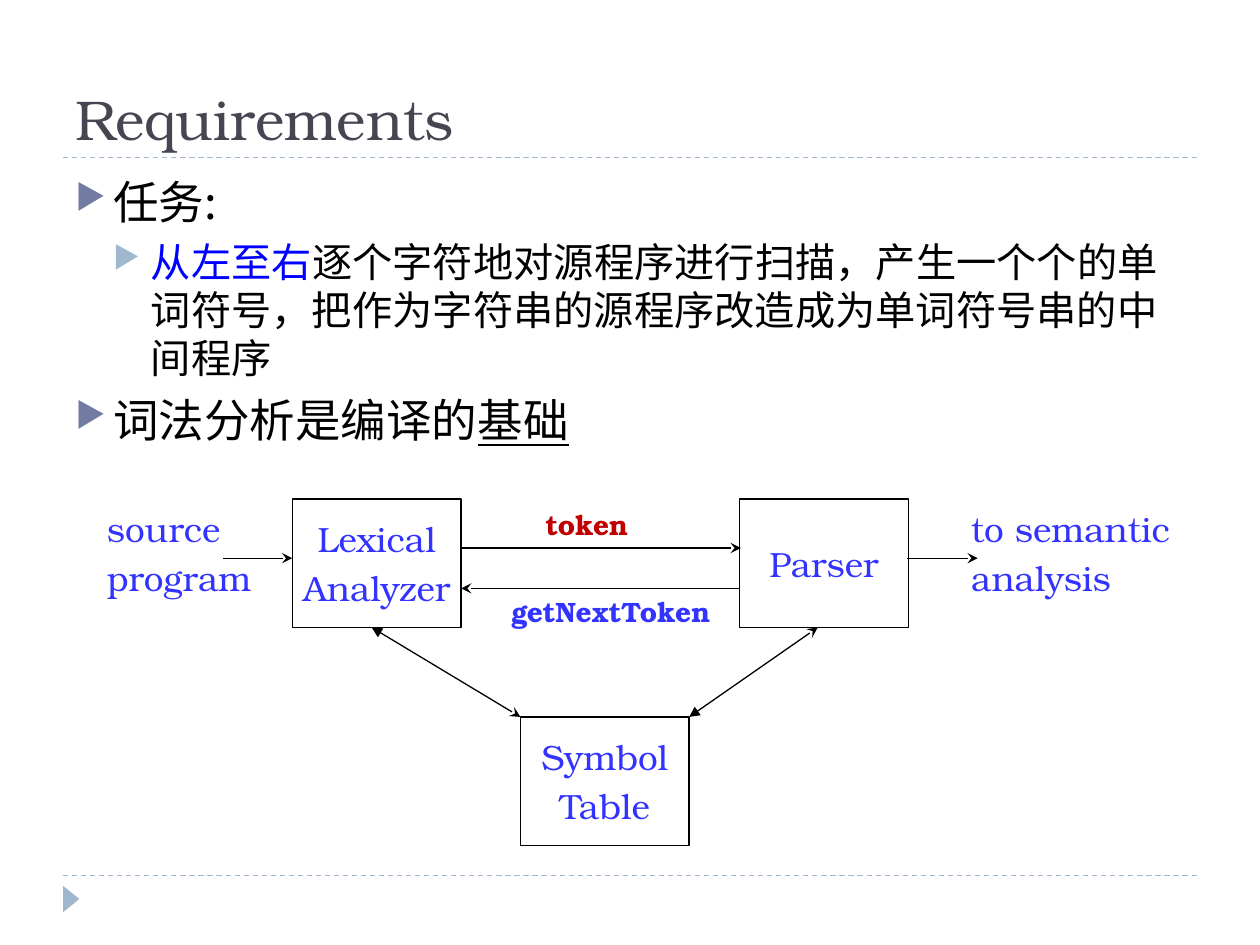
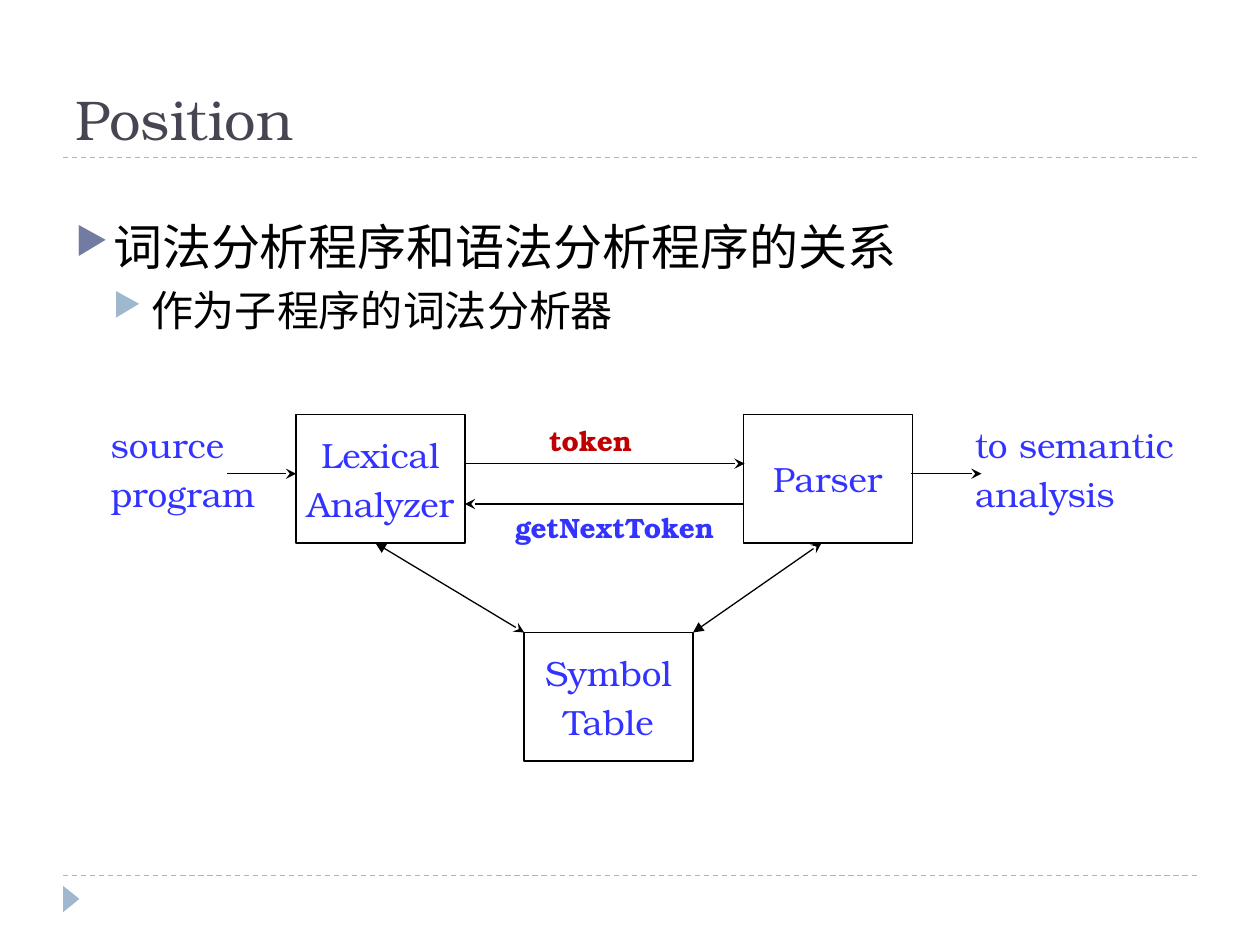
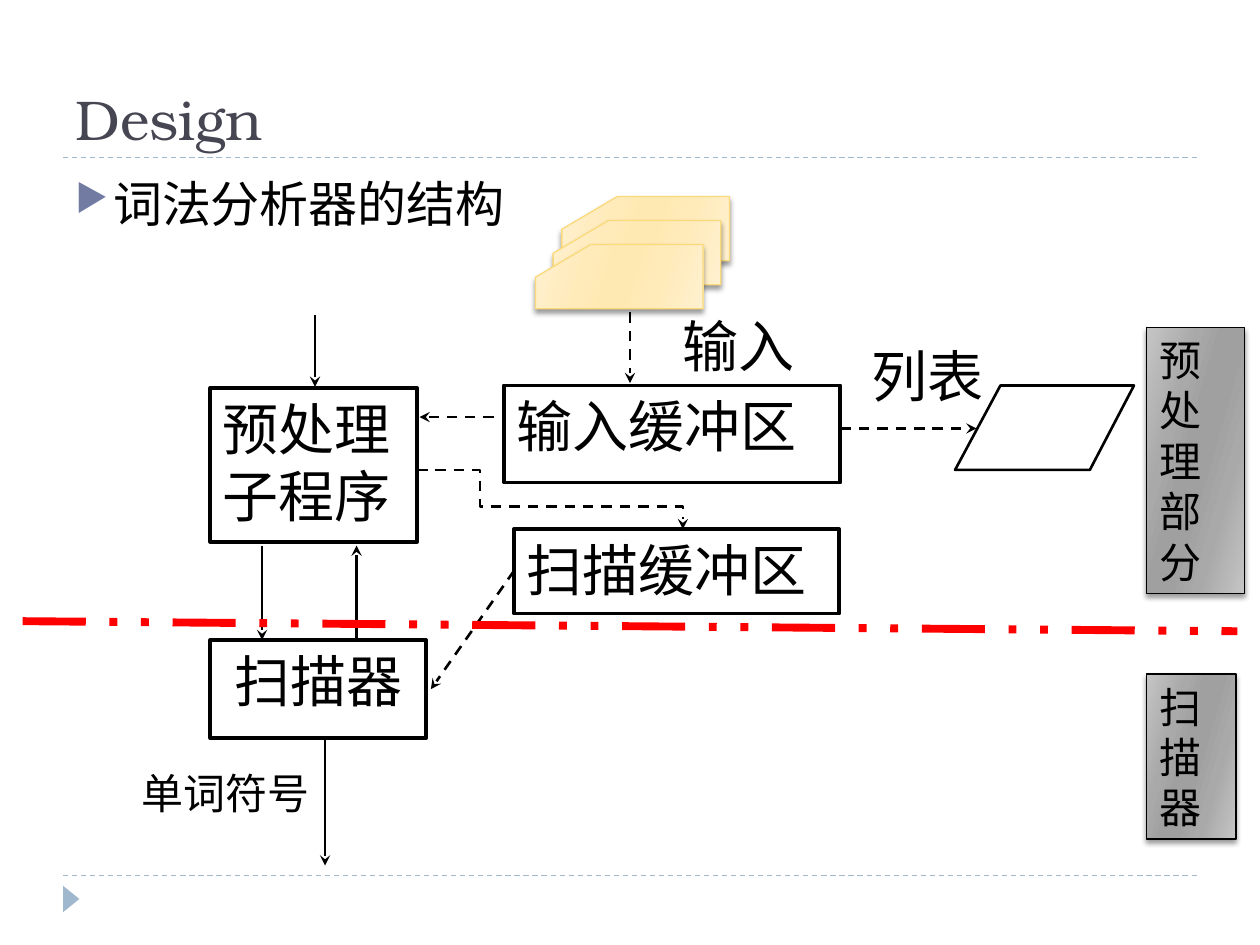
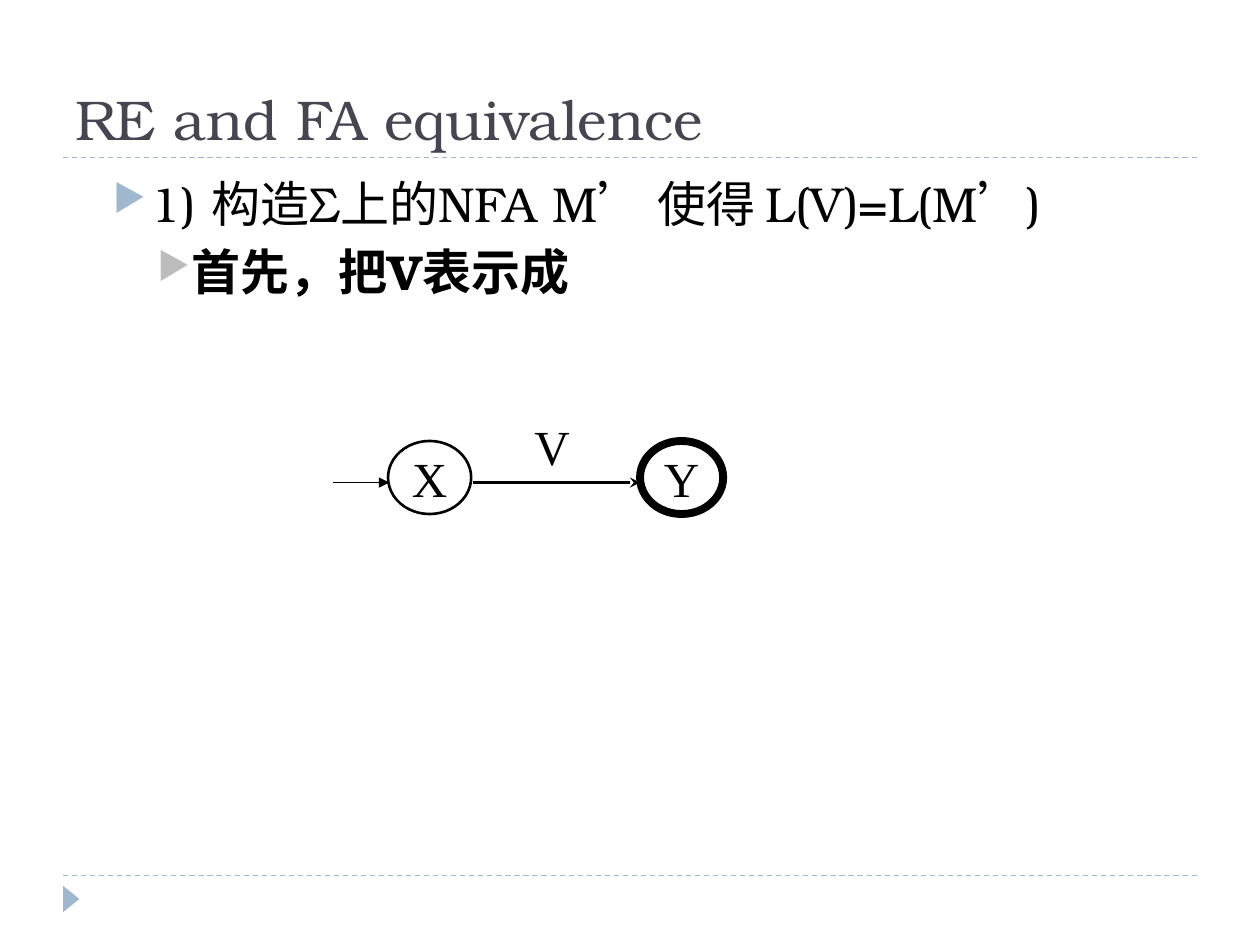
from lxml import etree
from pptx import Presentation
from pptx.dml.color import RGBColor
from pptx.enum.dml import MSO_LINE_DASH_STYLE as DASH
from pptx.enum.shapes import MSO_CONNECTOR, MSO_SHAPE as SHAPE
from pptx.enum.text import MSO_ANCHOR as ANCHOR, PP_ALIGN as ALIGN
from pptx.oxml.ns import qn
from pptx.util import Inches, Pt

COLORS = {
    "title": "464653", "text": "000000", "rule": "9FB8CD",
    "level0": "727CA3", "level1": "9FB8CD", "level2": "BCBCBC",
    "keyword": "0000FF", "label": "3333FF", "token": "C00000",
    "divider": "FF0000", "card_edge": "FADA7A",
}
CARD_STOPS = ("FFF0CF", "FFEBBA", "FFE9B3")
GRAY_STOPS = ("C5C5C5", "A9A9A9", "A0A0A0")
STOP_PLACES = ((0, 0), (30, 1), (45, 2), (55, 2), (73, 1), (100, 0))
SERIF, CJK, TIMES = "TeX Gyre Bonum", "Noto Sans CJK SC", "Times New Roman"
LEVELS = ((0.3, -0.3, 6), (0.6, -0.3, 5), (0.9, -0.25, 5))


def rgb(name):
    return RGBColor.from_string(COLORS[name])


def sub(parent, tag, **attrs):
    return etree.SubElement(parent, qn(tag), {k: str(v) for k, v in attrs.items()})


def add_run(p, text, size, color="text", font=CJK, bold=False, underline=False):
    r = p.add_run()
    r.text = text
    f = r.font
    f.name, f.size, f.color.rgb = font, Pt(size), rgb(color)
    if bold:
        f.bold = True
    if underline:
        f.underline = True


def write(sp, lines, size, color="text", font=CJK, align=ALIGN.LEFT,
          anchor=ANCHOR.TOP, wrap=True, space=0, bold=False):
    tf = sp.text_frame
    tf.word_wrap, tf.vertical_anchor = wrap, anchor
    for i, line in enumerate(lines):
        p = tf.add_paragraph() if i else tf.paragraphs[0]
        p.alignment, p.space_before = align, Pt(space)
        add_run(p, line, size, color, font, bold)


def add_text(s, box, lines, size, **style):
    sp = s.shapes.add_textbox(*map(Inches, box))
    write(sp, lines, size, **style)
    return sp


def style_line(line, width, color="text", dash=None):
    line.color.rgb, line.width = rgb(color), Pt(width)
    if dash:
        line.dash_style = dash


def add_ends(sp, head=None, tail=None):
    ln = sp.line._get_or_add_ln()
    for tag, kind in (("a:headEnd", head), ("a:tailEnd", tail)):
        if kind:
            sub(ln, tag, type=kind)


def add_line(s, start, end, width=0.75, color="text", dash=None, head=None, tail=None):
    c = s.shapes.add_connector(MSO_CONNECTOR.STRAIGHT, *map(Inches, (*start, *end)))
    style_line(c.line, width, color, dash)
    sub(c._element.spPr, "a:effectLst")
    add_ends(c, head, tail)


def add_outline(s, kind, box, width):
    sp = s.shapes.add_shape(kind, *map(Inches, box))
    sp.shadow.inherit = False
    sp.fill.background()
    style_line(sp.line, width)
    return sp


def add_path(s, points, width, color="text", dash=None, close=True):
    pts = [(Inches(x), Inches(y)) for x, y in points]
    builder = s.shapes.build_freeform(*pts[0])
    builder.add_line_segments(pts[1:], close=close)
    sp = builder.convert_to_shape()
    sp.shadow.inherit = False
    sp.fill.background()
    style_line(sp.line, width, color, dash)
    return sp


def shade(sp, stops):
    sp.fill.gradient()
    sp.fill.gradient_angle = 344
    spPr = sp._element.spPr
    gs_list = spPr.find(qn("a:gradFill")).find(qn("a:gsLst"))
    for gs in list(gs_list):
        gs_list.remove(gs)
    for place, i in STOP_PLACES:
        sub(sub(gs_list, "a:gs", pos=place * 1000), "a:srgbClr", val=stops[i])
    shadow = sub(spPr.find(qn("a:effectLst")), "a:outerShdw", blurRad=Pt(3),
                 dist=Pt(2), dir=90 * 60000, rotWithShape=0)
    sub(sub(shadow, "a:srgbClr", val=COLORS["text"]), "a:alpha", val=40000)


def add_base(prs, title):
    s = prs.slides.add_slide(prs.slide_layouts[6])
    for y in (6.95, 1.25):
        add_line(s, (0.5, y), (9.5, y), color="rule", dash=DASH.DASH)
    mark = add_outline(s, SHAPE.ISOSCELES_TRIANGLE, (0.46, 7.07, 0.21, 0.13), 0.75)
    mark.rotation = 90
    mark.fill.solid()
    mark.fill.fore_color.rgb = rgb("rule")
    mark.line.fill.background()
    add_text(s, (0.5, 0.17, 9, 1.08), [title], 32, color="title", font=SERIF,
             anchor=ANCHOR.BOTTOM)
    return s


def add_bullets(s, box, items):
    tf = s.shapes.add_textbox(*map(Inches, box)).text_frame
    tf.word_wrap = True
    for i, (level, size, runs) in enumerate(items):
        p = tf.add_paragraph() if i else tf.paragraphs[0]
        left, indent, space = LEVELS[level]
        p.level, p.space_before = level, Pt(space)
        pPr = p._p.get_or_add_pPr()
        pPr.set("marL", str(Inches(left)))
        pPr.set("indent", str(Inches(indent)))
        sub(sub(pPr, "a:buClr"), "a:srgbClr", val=COLORS[f"level{level}"])
        sub(pPr, "a:buSzPct", val=76000)
        sub(pPr, "a:buChar", char="▶")
        for text, style in runs:
            add_run(p, text, size, **style)


def add_parser_diagram(s, x, y):
    def at(dx, dy):
        return x + dx, y + dy

    for dx, dy, lines in ((1.57, 0, ("Lexical", "Analyzer")), (5.12, 0, ("Parser",)),
                          (3.38, 1.73, ("Symbol", "Table"))):
        sp = add_outline(s, SHAPE.RECTANGLE, (*at(dx, dy), 1.34, 1.02), 0.75)
        write(sp, lines, 20, "label", SERIF, ALIGN.CENTER, ANCHOR.MIDDLE, False, 4)
    for dx, w, lines in ((0, 1.36, ("source", "program")),
                         (6.86, 1.8, ("to semantic", "analysis"))):
        add_text(s, (*at(dx, 0.02), w, 0.84), lines, 20, color="label", font=SERIF,
                 wrap=False, space=4)
    for dx, dy, w, text, color in ((3.48, 0.02, 0.88, "token", "token"),
                                   (3.21, 0.71, 1.83, "getNextToken", "label")):
        add_text(s, (*at(dx, dy), w, 0.37), [text], 16, color=color, font=SERIF,
                 wrap=False, space=3.2, bold=True)
    for start, end, head in (
        ((2.92, 0.39), (5.13, 0.39), None),
        ((5.12, 0.71), (2.91, 0.71), None),
        ((1.02, 0.47), (1.57, 0.47), None),
        ((6.45, 0.47), (7.01, 0.47), None),
        ((2.2, 1.02), (3.38, 1.73), "triangle"),
        ((4.72, 1.73), (5.74, 1.02), "triangle"),
    ):
        add_line(s, at(*start), at(*end), head=head, tail="stealth")


def add_input_cards(s, x, y):
    for dx, dy in ((0.21, 0), (0.14, 0.19), (0, 0.38)):
        left, top = x + dx, y + dy
        card = add_path(s, [(left + 0.44, top), (left, top + 0.26), (left, top + 0.51),
                            (left + 1.33, top + 0.51), (left + 1.33, top)],
                        0.75, "card_edge")
        shade(card, CARD_STOPS)


def add_scanner_diagram(s, x, y):
    def at(dx, dy):
        return x + dx, y + dy

    for dx, dy, w, h, text, align in (
        (0, 1.52, 1.64, 1.22, "预处理子程序", ALIGN.LEFT),
        (0, 3.52, 1.71, 0.78, "扫描器", ALIGN.CENTER),
        (2.33, 1.5, 2.67, 0.77, "输入缓冲区", ALIGN.JUSTIFY),
        (2.41, 2.64, 2.58, 0.67, "扫描缓冲区", ALIGN.JUSTIFY),
    ):
        sp = add_outline(s, SHAPE.RECTANGLE, (*at(dx, dy), w, h), 2.25)
        write(sp, [text], 32, align=align)
    add_input_cards(s, *at(2.58, 0))
    add_path(s, [at(6.27, 1.5), at(5.91, 2.17), at(6.98, 2.17), at(7.33, 1.5)], 1.5)
    for start, end, dash in (
        ((0.83, 0.94), (0.83, 1.51), None),
        ((1.16, 3.52), (1.16, 2.77), None),
        ((0.41, 2.77), (0.41, 3.52), None),
        ((0.91, 4.31), (0.91, 5.31), None),
        ((3.33, 0.92), (3.33, 1.48), DASH.DASH),
        ((5, 1.84), (6.08, 1.84), DASH.DASH),
        ((2.25, 1.75), (1.66, 1.75), DASH.DASH),
        ((2.41, 2.97), (1.75, 3.91), DASH.DASH),
    ):
        add_line(s, at(*start), at(*end), 1.5, dash=dash, tail="stealth")
    bend = add_path(s, [at(1.64, 2.17), at(2.14, 2.17), at(2.14, 2.46),
                        at(3.75, 2.46), at(3.75, 2.64)], 1.5, dash=DASH.DASH, close=False)
    add_ends(bend, tail="stealth")
    for dx, dy, w, text, size in ((-0.84, 4.44, 1.92, "单词符号", 24),
                                  (3.33, 0.89, 1.73, "输入", 32),
                                  (4.75, 1.13, 1.89, "列表", 32)):
        add_text(s, (*at(dx, dy), w, 0.58), [text], size, align=ALIGN.CENTER,
                 anchor=ANCHOR.MIDDLE, wrap=False)


def add_part_labels(s, x, y):
    add_line(s, (0.18, y + 2.33), (9.82, y + 2.41), 4.5, "divider", DASH.DASH_DOT_DOT)
    for dy, w, h, text in ((0, 0.78, 2.11, "预处理部分"), (2.75, 0.71, 1.31, "扫描器")):
        sp = add_outline(s, SHAPE.RECTANGLE, (x, y + dy, w, h), 0.75)
        shade(sp, GRAY_STOPS)
        write(sp, [text], 24, anchor=ANCHOR.MIDDLE)


def add_automaton(s, x, y):
    style = dict(font=TIMES, align=ALIGN.CENTER, anchor=ANCHOR.MIDDLE, wrap=False)
    for dx, width, name in ((0.44, 1.5, "X"), (2.44, 4.5, "Y")):
        sp = add_outline(s, SHAPE.OVAL, (x + dx, y + 0.25, 0.66, 0.58), width)
        write(sp, [name], 28, **style)
    add_line(s, (x + 1.11, y + 0.58), (x + 2.44, y + 0.58), 1.5, tail="stealth")
    add_text(s, (x + 1.28, y, 0.92, 0.58), ["V"], 28, **style)
    add_line(s, (x, y + 0.58), (x + 0.45, y + 0.58), tail="triangle")


def requirements_slide(prs, body):
    s = add_base(prs, "Requirements")
    add_bullets(s, body, [
        (0, 26, [("任务:", {})]),
        (1, 23, [("从左至右", {"color": "keyword"}),
                 ("逐个字符地对源程序进行扫描，产生一个个的单词符号，"
                  "把作为字符串的源程序改造成为单词符号串的中间程序", {})]),
        (0, 26, [("词法分析是编译的", {}), ("基础", {"underline": True})]),
    ])
    add_parser_diagram(s, 0.75, 3.96)


def position_slide(prs):
    s = add_base(prs, "Position")
    add_bullets(s, (0.5, 1.67, 8.92, 4.92), [
        (0, 28, [("词法分析程序和语法分析程序的关系", {})]),
        (1, 24, [("作为子程序的词法分析器", {})]),
    ])
    add_parser_diagram(s, 0.78, 3.29)


def design_slide(prs, body):
    s = add_base(prs, "Design")
    add_bullets(s, body, [(0, 28, [("词法分析器的结构", {})])])
    add_scanner_diagram(s, 1.67, 1.56)
    add_part_labels(s, 9.1, 2.6)


def equivalence_slide(prs, body):
    s = add_base(prs, "RE and FA equivalence")
    add_bullets(s, body, [
        (1, 28, [("1) 构造Σ上的NFA M’ 使得 L(V)=L(M’)", {"font": SERIF})]),
        (2, 28, [("首先，把V表示成", {"font": SERIF, "bold": True})]),
    ])
    add_automaton(s, 2.64, 3.25)


def main():
    prs = Presentation()
    prs.slide_width, prs.slide_height = Inches(10), Inches(7.5)
    body = (0.5, 1.33, 9, 5.4)
    requirements_slide(prs, body)
    position_slide(prs)
    design_slide(prs, body)
    equivalence_slide(prs, body)
    prs.save("out.pptx")


if __name__ == "__main__":
    main()
